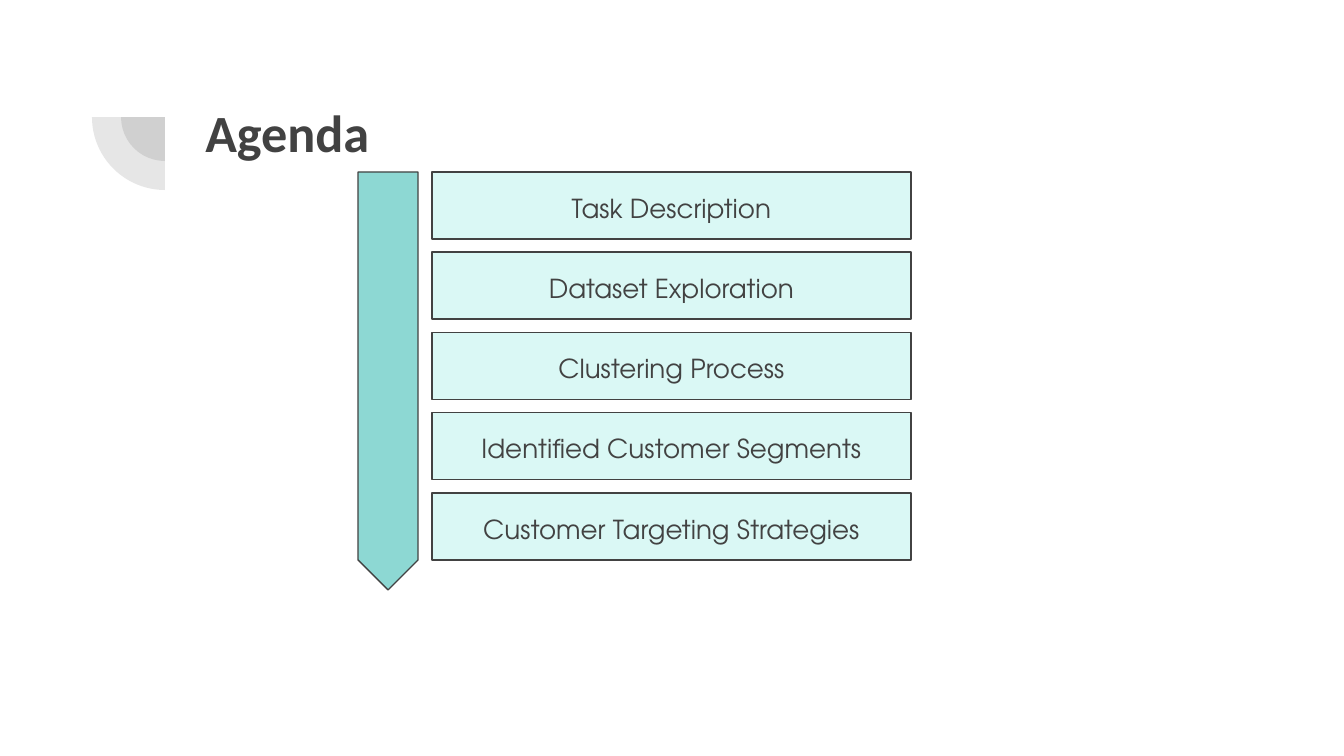
import pptx
import pptx.dml.color
import pptx.enum.shapes
import pptx.enum.text
import pptx.oxml
import pptx.oxml.ns
import pptx.util

PX = 914400 / 134.4
SHAPES = pptx.enum.shapes.MSO_SHAPE
ALIGN = pptx.enum.text.PP_ALIGN
ANCHOR = pptx.enum.text.MSO_ANCHOR
THEME = {
    "ink": pptx.dml.color.RGBColor.from_string("424242"),
    "mint": pptx.dml.color.RGBColor.from_string("ABEFEA"),
    "teal": pptx.dml.color.RGBColor.from_string("8DD8D3"),
    "title": {"name": "Calibri", "size": pptx.util.Pt(28), "bold": True},
    "item": {"name": "TeX Gyre Adventor", "size": pptx.util.Pt(14), "bold": False},
    "line": pptx.util.Pt(0.75),
}


def add_figure(kind, bounds, fill, opacity=100, outlined=True):
    """Add a filled preset shape; bounds are in px and opacity in percent."""
    shape = page.shapes.add_shape(kind, *(round(v * PX) for v in bounds))
    shape.shadow.inherit = False
    shape.fill.solid()
    shape.fill.fore_color.rgb = fill
    if opacity < 100:
        color = shape.fill._xPr.find(".//" + pptx.oxml.ns.qn("a:srgbClr"))
        alpha = pptx.oxml.parse_xml(
            f'<a:alpha {pptx.oxml.ns.nsdecls("a")} val="{opacity * 1000}"/>')
        color.append(alpha)
    if outlined:
        shape.line.color.rgb = THEME["ink"]
        shape.line.width = THEME["line"]
    else:
        shape.line.fill.background()
    return shape


def write(box, text, style, anchor, para_format):
    frame = box.text_frame
    inset = pptx.util.Inches(0.1)
    frame_format = {"word_wrap": True, "vertical_anchor": anchor,
                    "margin_left": inset, "margin_right": inset,
                    "margin_top": inset, "margin_bottom": inset}
    para = frame.paragraphs[0]
    span = para.add_run()
    span.text = text
    span.font.color.rgb = THEME["ink"]
    for target, values in ((frame, frame_format), (para, para_format),
                           (span.font, THEME[style])):
        for name, value in values.items():
            setattr(target, name, value)


deck = pptx.Presentation()
deck.slide_width = round(1344 * PX)
deck.slide_height = round(756 * PX)
page = deck.slides.add_slide(deck.slide_layouts[6])

# Two quarter discs share one centre
center_x, center_y = 165, 117
for radius in (44, 73):
    bounds = (center_x - radius, center_y - radius, 2 * radius, 2 * radius)
    quarter = add_figure(SHAPES.PIE, bounds, THEME["ink"], 13, outlined=False)
    quarter.adjustments[0] = 108
    quarter.adjustments[1] = 162
    quarter.rotation = 270

title = page.shapes.add_textbox(*(round(v * PX) for v in (192, 87, 1034, 147)))
write(title, "Agenda", "title", ANCHOR.TOP, {"alignment": ALIGN.LEFT})

# Agenda items, evenly spread between the first and last top edge
items = ["Task Description", "Dataset Exploration", "Clustering Process",
         "Identified Customer Segments", "Customer Targeting Strategies"]
first_top, last_top = 172, 493
item_format = {"alignment": ALIGN.CENTER, "line_spacing": 1.15,
               "space_after": pptx.util.Pt(12)}
for index, item in enumerate(items):
    top = first_top + (last_top - first_top) * index / (len(items) - 1)
    box = add_figure(SHAPES.RECTANGLE, (432, top, 479, 67), THEME["mint"], 43)
    write(box, item, "item", ANCHOR.MIDDLE, item_format)

# Downward arrow beside the items
arrow = add_figure(SHAPES.PENTAGON, (179, 351, 418, 60), THEME["teal"])
arrow.adjustments[0] = 0.5
arrow.rotation = 90

deck.save("out.pptx")
